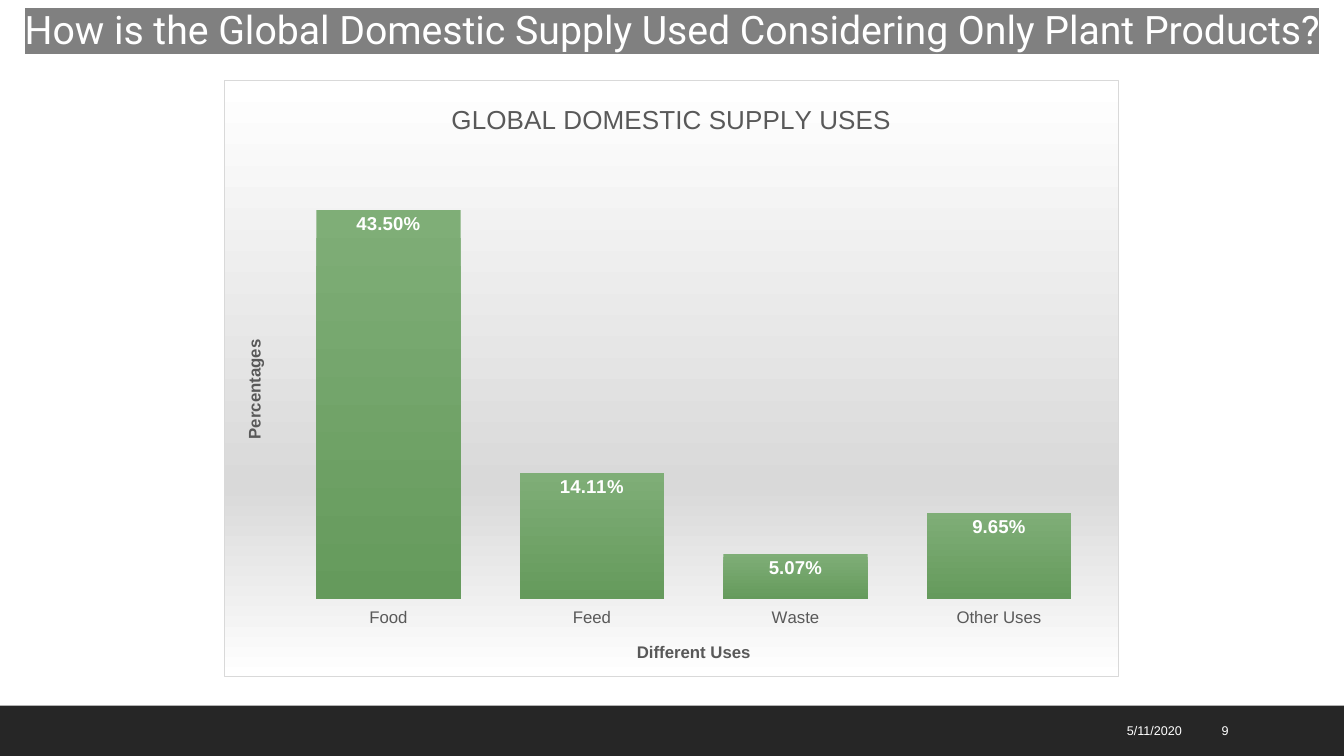
from lxml.etree import SubElement
from pptx import Presentation
from pptx.chart.data import CategoryChartData
from pptx.dml.color import RGBColor
from pptx.enum.chart import XL_CHART_TYPE, XL_LABEL_POSITION, XL_TICK_LABEL_POSITION, XL_TICK_MARK
from pptx.enum.shapes import MSO_SHAPE
from pptx.enum.text import MSO_ANCHOR, PP_ALIGN
from pptx.oxml import parse_xml
from pptx.oxml.ns import nsdecls, qn
from pptx.util import Pt

PX = 9525
WHITE = RGBColor(0xFF, 0xFF, 0xFF)
SILVER = RGBColor(0xD9, 0xD9, 0xD9)
GRAY = RGBColor(0x80, 0x80, 0x80)
TEXT = RGBColor(0x59, 0x59, 0x59)
DARK = RGBColor(0x26, 0x26, 0x26)
LEAF = RGBColor(0x7F, 0xAE, 0x77)
GREEN = RGBColor(0x65, 0x9A, 0x5C)
USES = {"Food": 0.435, "Feed": 0.1411, "Waste": 0.0507, "Other Uses": 0.0965}


def emu(*lengths):
    """Turn px lengths into EMU."""
    return [n * PX for n in lengths]


def style_font(font, size, color, bold=False, name="Arial"):
    """Set size, colour, weight and typeface of a font."""
    font.size, font.bold, font.name = Pt(size), bold, name
    font.color.rgb = color


def add_run(tf, text, size, align, name="Arial"):
    """Add one white run to the first paragraph of a text frame."""
    p = tf.paragraphs[0]
    p.alignment = align
    r = p.add_run()
    r.text = text
    style_font(r.font, size, WHITE, name=name)
    return r


def add_rect(s, box, color):
    """Add a plain filled rectangle."""
    sp = s.shapes.add_shape(MSO_SHAPE.RECTANGLE, *emu(*box))
    sp.shadow.inherit = False
    sp.fill.solid()
    sp.fill.fore_color.rgb = color
    sp.line.fill.background()
    return sp


def add_gradient(spPr, stops):
    """Fill shape properties with a top-to-bottom gradient."""
    fill = SubElement(spPr, qn("a:gradFill"), rotWithShape="1")
    gs_lst = SubElement(fill, qn("a:gsLst"))
    for pos, color in stops:
        gs = SubElement(gs_lst, qn("a:gs"), pos=str(pos * 1000))
        SubElement(gs, qn("a:srgbClr"), val=str(color))
    SubElement(fill, qn("a:lin"), ang="5400000", scaled="0")


def add_title(s, box):
    """Add the highlighted heading on a translucent band."""
    sp = add_rect(s, box, WHITE)
    clr = sp.fill._xPr.find(qn("a:solidFill"))[0]
    SubElement(clr, qn("a:alpha"), val="20000")
    tf = sp.text_frame
    tf.word_wrap = True
    tf.vertical_anchor = MSO_ANCHOR.TOP
    r = add_run(tf, "How is the Global Domestic Supply Used Considering Only Plant Products?",
                28, PP_ALIGN.CENTER, "Roboto")
    highlight = parse_xml(f'<a:highlight {nsdecls("a")}><a:srgbClr val="{GRAY}"/></a:highlight>')
    r._r.rPr.find(qn("a:solidFill")).addnext(highlight)


def set_chart_title(owner, text, size, bold):
    """Give a chart or an axis its title."""
    owner.has_title = True
    title = owner.chart_title if hasattr(owner, "chart_title") else owner.axis_title
    r = title.text_frame.paragraphs[0].add_run()
    r.text = text
    style_font(r.font, size, TEXT, bold)


def style_chart_area(chart):
    """Set the chart background, border and plot layout."""
    chart_el = chart._chartSpace.find(qn("c:chart"))
    spPr = parse_xml(f'<c:spPr {nsdecls("c", "a")}/>')
    add_gradient(spPr, [(0, WHITE), (68, SILVER), (100, WHITE)])
    ln = SubElement(spPr, qn("a:ln"), w=str(Pt(0.75)))
    SubElement(SubElement(ln, qn("a:solidFill")), qn("a:srgbClr"), val=str(SILVER))
    chart_el.addnext(spPr)
    plot_area = chart_el.find(qn("c:plotArea"))
    for old in plot_area.findall(qn("c:layout")):
        plot_area.remove(old)
    layout = parse_xml(f'<c:layout {nsdecls("c")}/>')
    manual = SubElement(layout, qn("c:manualLayout"))
    for tag, val in [("layoutTarget", "inner"), ("xMode", "edge"), ("yMode", "edge"),
                     ("x", "0.07"), ("y", "0.12"), ("w", "0.91"), ("h", "0.75")]:
        SubElement(manual, qn(f"c:{tag}"), val=val)
    plot_area.insert(0, layout)


def add_uses_chart(s, box):
    """Add the column chart of supply uses."""
    data = CategoryChartData(number_format="0.00%")
    data.categories = list(USES)
    data.add_series("Series 1", list(USES.values()))
    chart = s.shapes.add_chart(XL_CHART_TYPE.COLUMN_CLUSTERED, *emu(*box), data).chart
    style_font(chart.font, 10, RGBColor(0, 0, 0))
    chart.has_legend = False
    set_chart_title(chart, "GLOBAL DOMESTIC SUPPLY USES", 18.6, False)
    style_chart_area(chart)

    cat, val = chart.category_axis, chart.value_axis
    set_chart_title(cat, "Different Uses", 12, True)
    set_chart_title(val, "Percentages", 12, True)
    style_font(cat.tick_labels.font, 12, TEXT)
    cat.major_tick_mark = XL_TICK_MARK.NONE
    cat.tick_label_position = XL_TICK_LABEL_POSITION.LOW
    cat.format.line.fill.background()
    val.minimum_scale, val.maximum_scale = 0, 0.5
    val.has_major_gridlines = False
    val.visible = False

    plot = chart.plots[0]
    plot.gap_width = 41
    plot.vary_by_categories = False
    add_gradient(plot.series[0]._element.get_or_add_spPr(), [(0, LEAF), (100, GREEN)])
    plot.has_data_labels = True
    labels = plot.data_labels
    labels.show_value = True
    labels.number_format, labels.number_format_is_linked = "0.00%", False
    labels.position = XL_LABEL_POSITION.INSIDE_END
    style_font(labels.font, 13.3, WHITE, True)


def add_footer(s, box):
    """Add the dark band with the date and slide number."""
    x, y, w, h = box
    add_rect(s, box, DARK)
    for text, dx, width, align in [("5/11/2020", 863, 272, PP_ALIGN.RIGHT),
                                   ("9", 1154, 82, PP_ALIGN.LEFT)]:
        tf = s.shapes.add_textbox(*emu(x + dx, y + 5, width, h - 10)).text_frame
        tf.word_wrap = True
        tf.vertical_anchor = MSO_ANCHOR.MIDDLE
        add_run(tf, text, 9, align)


def main():
    """Build and save the slide."""
    prs = Presentation()
    prs.slide_width, prs.slide_height = emu(1280, 720)
    s = prs.slides.add_slide(prs.slide_layouts[6])
    add_footer(s, (0, 672, 1280, 48))
    add_uses_chart(s, (213, 76, 853, 569))
    add_title(s, (0, 0, 1280, 55))
    prs.save("out.pptx")


if __name__ == "__main__":
    main()
